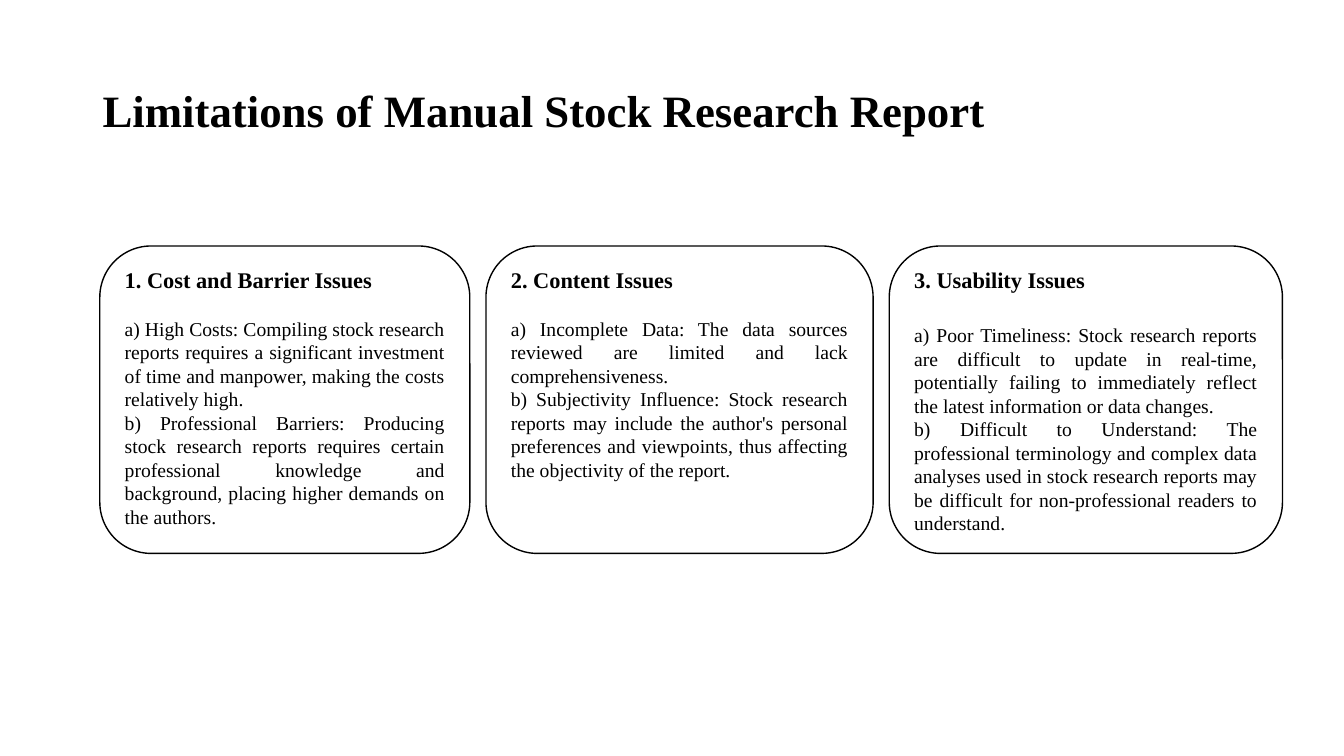
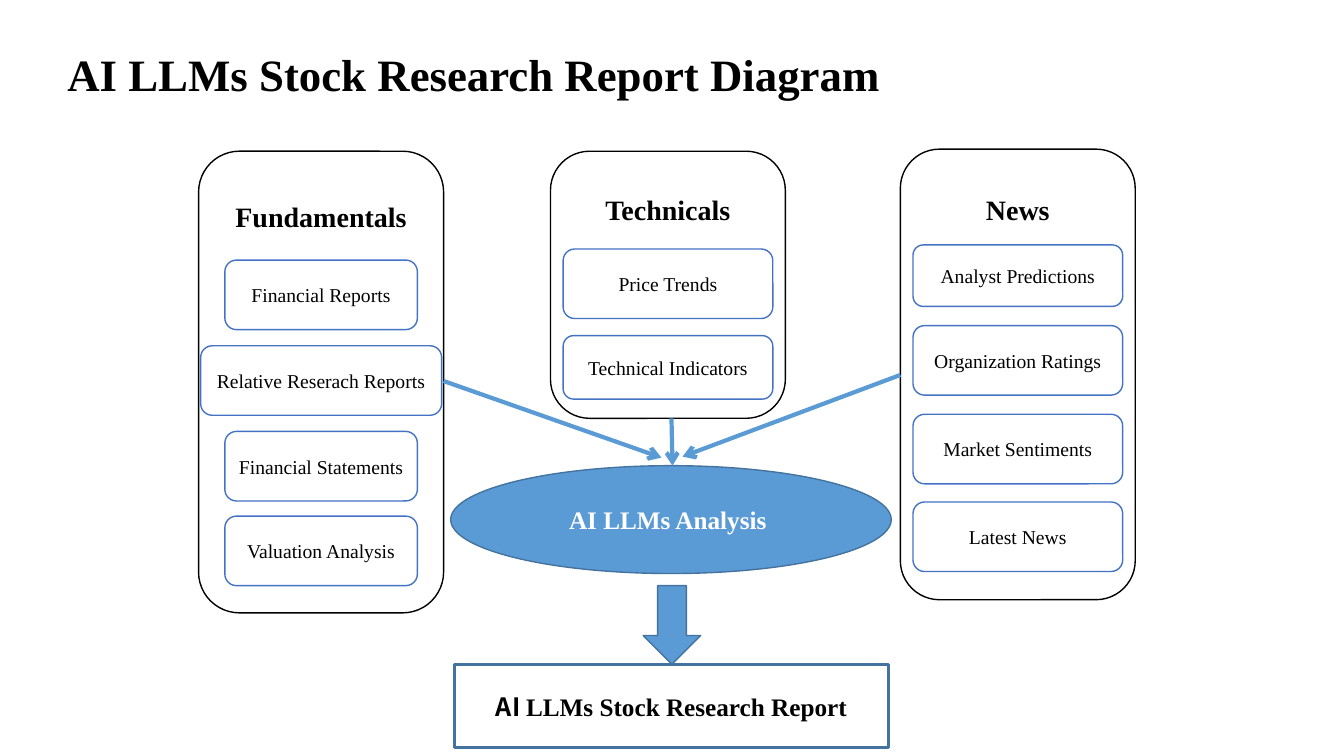
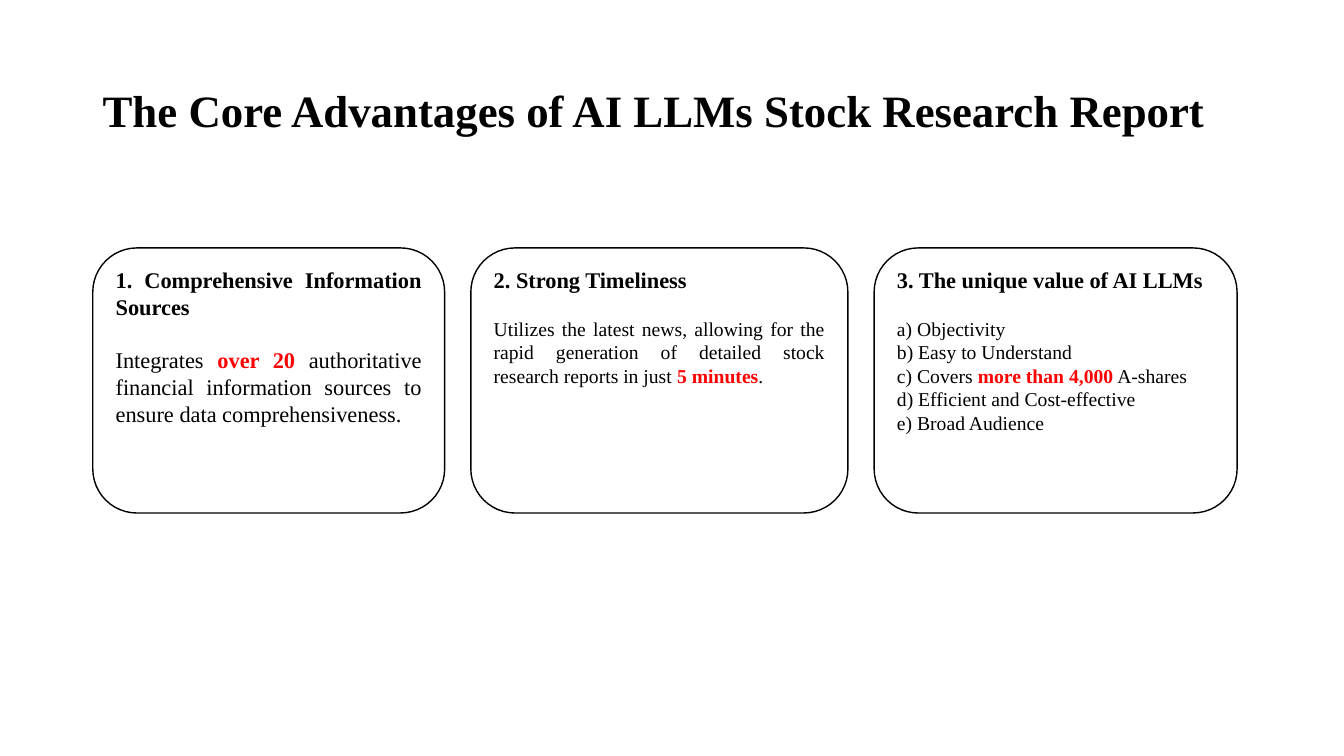
"""Build three slides on stock research reports written with AI LLMs."""
from lxml.etree import SubElement
from pptx import Presentation
from pptx.dml.color import RGBColor
from pptx.enum.shapes import MSO_CONNECTOR, MSO_SHAPE
from pptx.enum.text import MSO_ANCHOR, PP_ALIGN
from pptx.oxml.ns import qn
from pptx.util import Inches, Pt

SERIF = "Times New Roman"
SANS = "Noto Sans CJK SC"
BLACK, WHITE, RED = "000000", "FFFFFF", "FF0000"
BLUE, DARK_BLUE, ITEM_BLUE = "5B9BD5", "43739E", "4472C4"


def write(paragraph, text, size, bold=False, color=BLACK, font=SERIF):
    """Append one formatted run to a paragraph."""
    run = paragraph.add_run()
    run.text = text
    run.font.name = font
    run.font.size = Pt(size)
    run.font.bold = bold
    run.font.color.rgb = RGBColor.from_string(color)


def draw(slide, kind, left, top, width, height, line, fill=WHITE, weight=1):
    """Add a filled, outlined shape with centred text and return it."""
    shape = slide.shapes.add_shape(
        kind, Inches(left), Inches(top), Inches(width), Inches(height))
    shape.shadow.inherit = False
    shape.fill.solid()
    shape.fill.fore_color.rgb = RGBColor.from_string(fill)
    shape.line.color.rgb = RGBColor.from_string(line)
    shape.line.width = Pt(weight)
    shape.text_frame.word_wrap = True
    shape.text_frame.vertical_anchor = MSO_ANCHOR.MIDDLE
    shape.text_frame.paragraphs[0].alignment = PP_ALIGN.CENTER
    return shape


deck = Presentation()
deck.slide_width = Inches(13.33)
deck.slide_height = Inches(7.5)

titles = [
    ("Limitations of Manual Stock Research Report", 0.92, 0.4),
    ("AI LLMs Stock Research Report Diagram", 0.57, 0.04),
    ("The Core Advantages of AI LLMs Stock Research Report", 0.92, 0.4),
]
for title, left, top in titles:
    slide = deck.slides.add_slide(deck.slide_layouts[6])
    heading = slide.shapes.add_textbox(
        Inches(left), Inches(top), Inches(11.5), Inches(1.45)).text_frame
    heading.word_wrap = True
    heading.vertical_anchor = MSO_ANCHOR.MIDDLE
    heading.paragraphs[0].line_spacing = 0.9
    write(heading.paragraphs[0], title, 32, True)
limitations, diagram, advantages = deck.slides

limitation_cards = [
    ("1. Cost and Barrier Issues", 3.67, 14, 17, [
        ["a) High Costs: Compiling stock research reports requires a significant "
         "investment of time and manpower, making the costs relatively high."],
        ["b) Professional Barriers: Producing stock research reports requires "
         "certain professional knowledge and background, placing higher demands "
         "on the authors."]]),
    ("2. Content Issues", 3.84, 14, 17, [
        ["a) Incomplete Data: The data sources reviewed are limited and lack "
         "comprehensiveness."],
        ["b) Subjectivity Influence: Stock research reports may include the "
         "author's personal preferences and viewpoints, thus affecting the "
         "objectivity of the report."]]),
    ("3. Usability Issues", 3.9, 14, 21.5, [
        ["a) Poor Timeliness: Stock research reports are difficult to update in "
         "real-time, potentially failing to immediately reflect the latest "
         "information or data changes."],
        ["b) Difficult to Understand: The professional terminology and complex "
         "data analyses used in stock research reports may be difficult for "
         "non-professional readers to understand."]]),
]
advantage_cards = [
    ("1. Comprehensive Information Sources", 3.49, 16, 19.3, [
        ["Integrates ", "over 20", " authoritative financial information sources "
         "to ensure data comprehensiveness."]]),
    ("2. Strong Timeliness", 3.74, 14, 17, [
        ["Utilizes the latest news, allowing for the rapid generation of detailed "
         "stock research reports in just ", "5 minutes", "."]]),
    ("3. The unique value of AI LLMs", 3.6, 14, 17, [
        ["a) Objectivity"],
        ["b) Easy to Understand"],
        ["c) Covers ", "more than 4,000", " A-shares"],
        ["d) Efficient and Cost-effective"],
        ["e) Broad Audience"]]),
]
card_rows = [
    (limitations, limitation_cards, 0.99, 2.44, 3.05, 0.16),
    (advantages, advantage_cards, 0.92, 2.46, 2.63, 0.26),
]
for slide, cards, left, top, height, gap in card_rows:
    for card_title, width, size, space, points in cards:
        card = draw(slide, MSO_SHAPE.ROUNDED_RECTANGLE,
                    left, top, width, height, BLACK).text_frame
        card.vertical_anchor = MSO_ANCHOR.TOP
        card.paragraphs[0].alignment = PP_ALIGN.JUSTIFY
        card.paragraphs[0].space_after = Pt(space)
        write(card.paragraphs[0], card_title, 16, True)
        for point in points:
            paragraph = card.add_paragraph()
            paragraph.alignment = PP_ALIGN.JUSTIFY
            for index, text in enumerate(point):
                key_figure = index == 1
                write(paragraph, text, size, key_figure, RED if key_figure else BLACK)
        left += width + gap

panels = [
    ("Fundamentals", 1.97, 1.5, 2.43, 4.58, 0.36, [
        ("Financial Reports", 2.58, 1.91, 0.69),
        ("Relative Reserach Reports", 3.43, 2.39, 0.69),
        ("Financial Statements", 4.28, 1.91, 0.69),
        ("Valuation Analysis", 5.12, 1.91, 0.69)]),
    ("Technicals", 5.46, 1.5, 2.33, 2.65, 0.3, [
        ("Price Trends", 2.47, 2.08, 0.69),
        ("Technical Indicators", 3.33, 2.08, 0.63)]),
    ("News", 8.93, 1.48, 2.33, 4.47, 0.32, [
        ("Analyst Predictions", 2.43, 2.08, 0.61),
        ("Organization Ratings", 3.23, 2.08, 0.69),
        ("Market Sentiments", 4.11, 2.08, 0.69),
        ("Latest News", 4.98, 2.08, 0.69)]),
]
for panel_title, left, top, width, height, inset, inputs in panels:
    panel = draw(diagram, MSO_SHAPE.ROUNDED_RECTANGLE,
                 left, top, width, height, BLACK).text_frame
    panel.vertical_anchor = MSO_ANCHOR.TOP
    panel.margin_top = Inches(inset)
    write(panel.paragraphs[0], panel_title, 20, True)
    for label, item_top, item_width, item_height in inputs:
        item = draw(diagram, MSO_SHAPE.ROUNDED_RECTANGLE,
                    left + (width - item_width) / 2, item_top,
                    item_width, item_height, ITEM_BLUE)
        write(item.text_frame.paragraphs[0], label, 14)

analysis = draw(diagram, MSO_SHAPE.OVAL, 4.47, 4.62, 4.37, 1.07, DARK_BLUE, BLUE)
write(analysis.text_frame.paragraphs[0], "AI LLMs Analysis ", 18, True, WHITE)
draw(diagram, MSO_SHAPE.DOWN_ARROW, 6.38, 5.81, 0.57, 0.78, DARK_BLUE, BLUE)
report = draw(diagram, MSO_SHAPE.RECTANGLE, 4.51, 6.59, 4.3, 0.83, DARK_BLUE, weight=2.25)
write(report.text_frame.paragraphs[0], "AI ", 18, True, font=SANS)
write(report.text_frame.paragraphs[0], "LLMs Stock Research Report", 18, True)

flows = [(4.4, 3.78, 6.56, 4.54), (6.66, 4.15, 6.67, 4.62), (8.93, 3.72, 6.77, 4.53)]
for flow in flows:
    arrow = diagram.shapes.add_connector(
        MSO_CONNECTOR.STRAIGHT, *[Inches(value) for value in flow])
    arrow.line.color.rgb = RGBColor.from_string(BLUE)
    arrow.line.width = Pt(3)
    SubElement(arrow.line._get_or_add_ln(), qn("a:tailEnd"), type="arrow")
    SubElement(arrow._element.spPr, qn("a:effectLst"))

deck.save("out.pptx")
